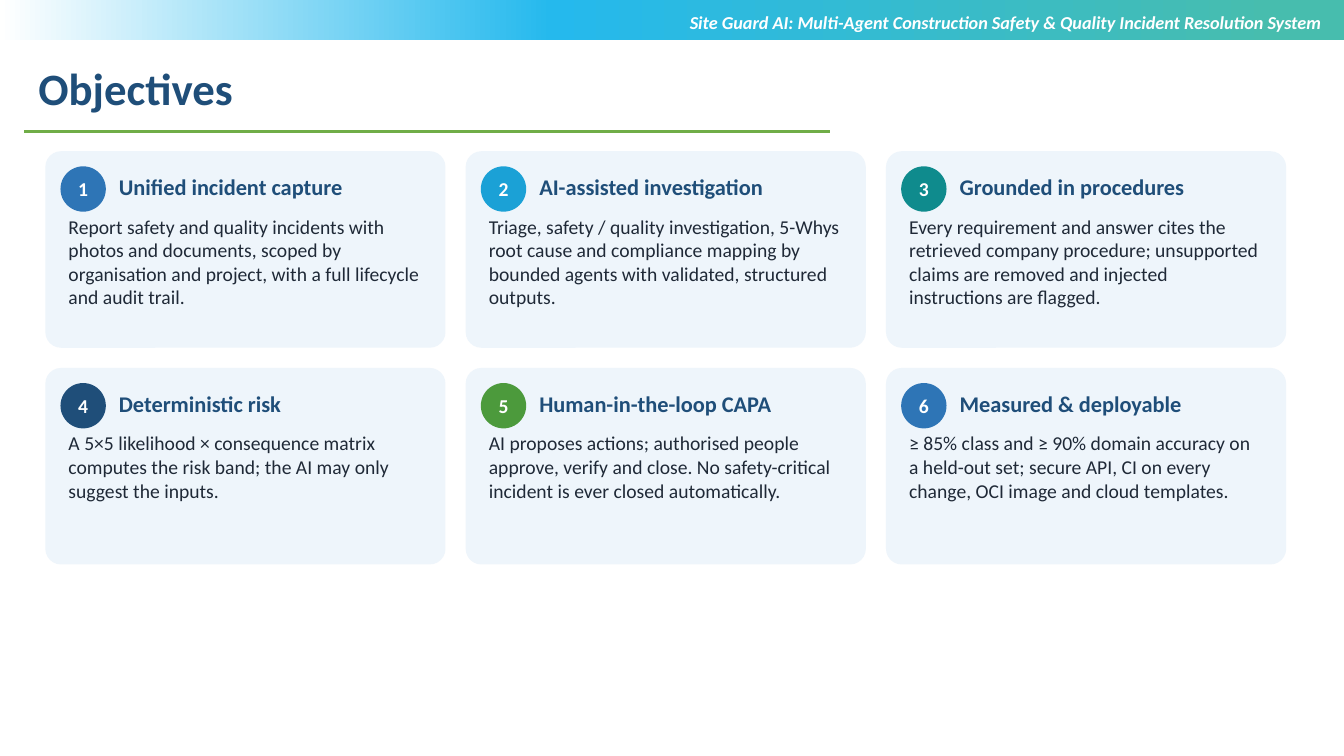
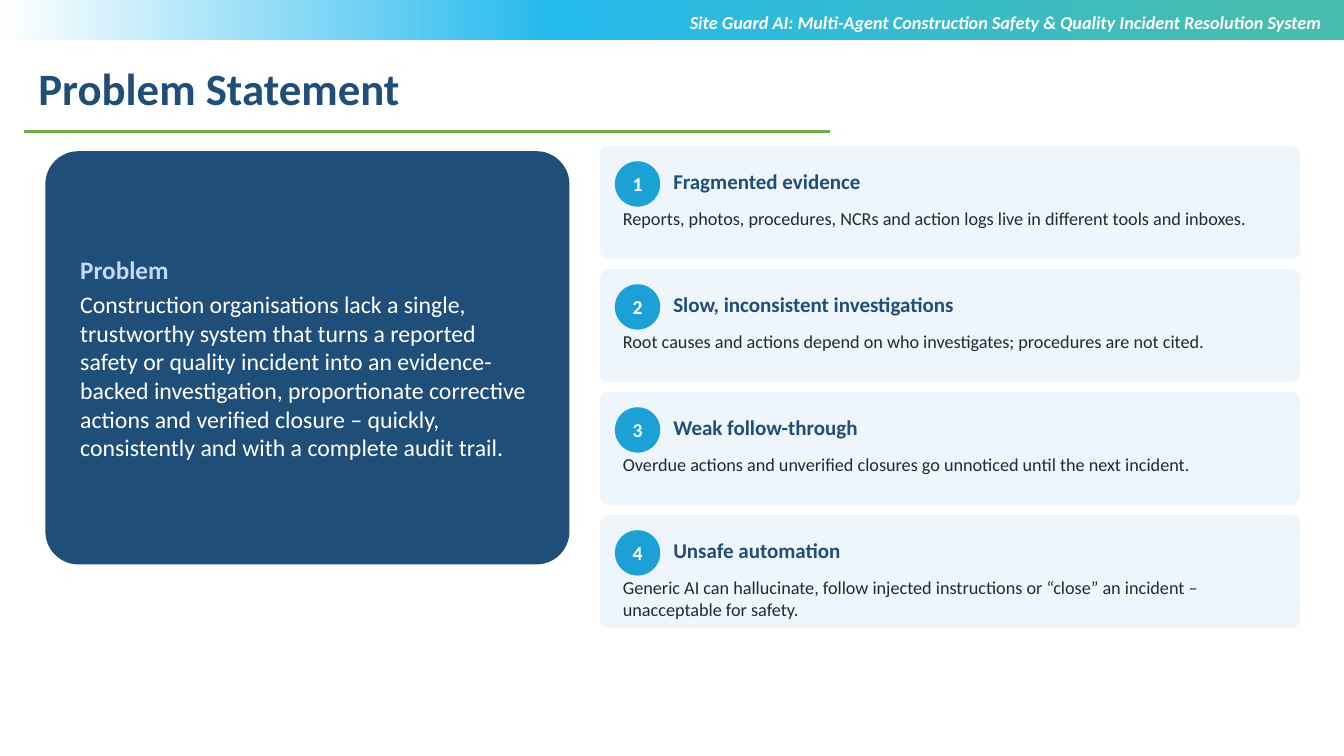
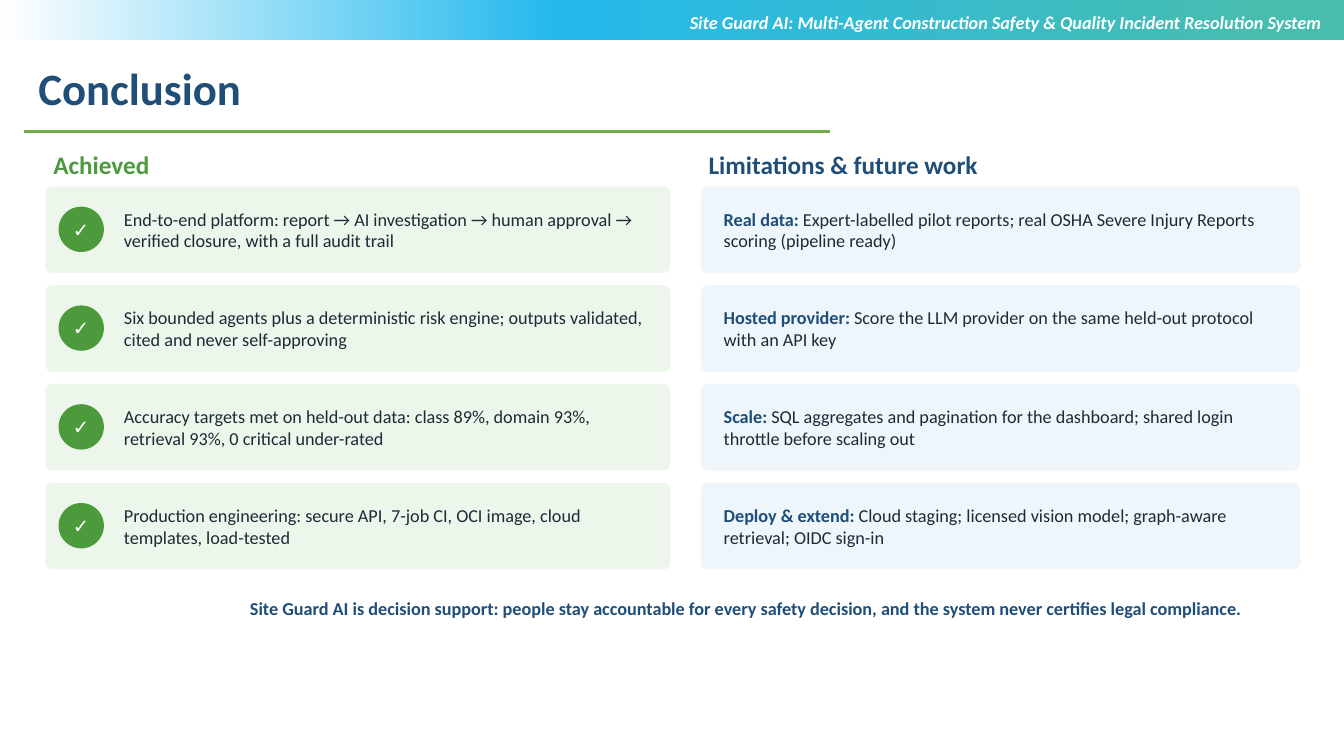
from copy import deepcopy

from pptx import Presentation
from pptx.dml.color import RGBColor as Rgb
from pptx.enum.shapes import MSO_CONNECTOR as Conn, MSO_SHAPE as Geo
from pptx.enum.text import MSO_ANCHOR as Anchor, PP_ALIGN as Align
from pptx.oxml.ns import qn
from pptx.util import Pt

HEX = {
    "white": "FFFFFF", "ink": "1F2937", "navy": "1F4E79", "blue": "2E75B6",
    "sky": "1BA1D6", "teal": "0F8B8D", "green": "4C9A3C", "rule": "70AD47",
    "pale": "EEF5FB", "mint": "EDF6EA", "ice": "BFDBFE",
    "aqua": "25B9ED", "sea": "47BDAE",
}
FONT = "Calibri"
WIDE, HIGH = 960, 540
LEFT, EDGE = 32.4, 928.8
DOT = 32.4
LOOSE = (7.2, 3.6)
BANNER = ("Site Guard AI: Multi-Agent Construction Safety & Quality "
          "Incident Resolution System")

GOALS = [
    ("Unified incident capture", "blue",
     "Report safety and quality incidents with photos and documents, scoped by "
     "organisation and project, with a full lifecycle and audit trail."),
    ("AI-assisted investigation", "sky",
     "Triage, safety / quality investigation, 5-Whys root cause and compliance "
     "mapping by bounded agents with validated, structured outputs."),
    ("Grounded in procedures", "teal",
     "Every requirement and answer cites the retrieved company procedure; "
     "unsupported claims are removed and injected instructions are flagged."),
    ("Deterministic risk", "navy",
     "A 5×5 likelihood × consequence matrix computes the risk band; the AI may "
     "only suggest the inputs."),
    ("Human-in-the-loop CAPA", "green",
     "AI proposes actions; authorised people approve, verify and close. No "
     "safety-critical incident is ever closed automatically."),
    ("Measured & deployable", "blue",
     "≥ 85% class and ≥ 90% domain accuracy on a held-out set; secure API, CI on "
     "every change, OCI image and cloud templates."),
]
PROBLEM = (
    "Construction organisations lack a single, trustworthy system that turns a "
    "reported safety or quality incident into an evidence-backed investigation, "
    "proportionate corrective actions and verified closure – quickly, "
    "consistently and with a complete audit trail.")
CAUSES = [
    ("Fragmented evidence",
     "Reports, photos, procedures, NCRs and action logs live in different tools "
     "and inboxes."),
    ("Slow, inconsistent investigations",
     "Root causes and actions depend on who investigates; procedures are not "
     "cited."),
    ("Weak follow-through",
     "Overdue actions and unverified closures go unnoticed until the next "
     "incident."),
    ("Unsafe automation",
     "Generic AI can hallucinate, follow injected instructions or “close” an "
     "incident – unacceptable for safety."),
]
DONE = [
    "End-to-end platform: report → AI investigation → human approval → verified "
    "closure, with a full audit trail",
    "Six bounded agents plus a deterministic risk engine; outputs validated, "
    "cited and never self-approving",
    "Accuracy targets met on held-out data: class 89%, domain 93%, retrieval "
    "93%, 0 critical under-rated",
    "Production engineering: secure API, 7-job CI, OCI image, cloud "
    "templates, load-tested",
]
NEXT = [
    ("Real data: ", "Expert-labelled pilot reports; real OSHA Severe Injury "
     "Reports scoring (pipeline ready)"),
    ("Hosted provider: ", "Score the LLM provider on the same held-out protocol "
     "with an API key"),
    ("Scale: ", "SQL aggregates and pagination for the dashboard; shared login "
     "throttle before scaling out"),
    ("Deploy & extend: ", "Cloud staging; licensed vision model; graph-aware "
     "retrieval; OIDC sign-in"),
]
CLOSING = ("Site Guard AI is decision support: people stay accountable for every "
           "safety decision, and the system never certifies legal compliance.")


def rgb(name):
    return Rgb.from_string(HEX[name])


def write(shape, *paras, size=13, color="ink", bold=False, ital=False,
          align=Align.LEFT, anchor=Anchor.TOP, pad=(5.76, 5.76), gap=4):
    """Fill a shape; a paragraph is a string or a list of (text, format) runs."""
    frame = shape.text_frame
    frame.word_wrap = True
    frame.vertical_anchor = anchor
    frame.margin_left = frame.margin_right = Pt(pad[0])
    frame.margin_top = frame.margin_bottom = Pt(pad[1])
    for num, para in enumerate(paras):
        line = frame.add_paragraph() if num else frame.paragraphs[0]
        line.alignment = align
        line.space_after = Pt(gap)
        for words, own in [(para, {})] if isinstance(para, str) else para:
            look = {"size": size, "color": color, "bold": bold, **own}
            run = line.add_run()
            run.text = words
            font = run.font
            font.name, font.size = FONT, Pt(look["size"])
            font.bold, font.italic = look["bold"], ital
            font.color.rgb = rgb(look["color"])


def label(slide, box, *paras, **look):
    write(slide.shapes.add_textbox(*map(Pt, box)), *paras, **look)


def block(slide, geo, box, fill=None):
    shape = slide.shapes.add_shape(geo, *map(Pt, box))
    shape.shadow.inherit = False
    shape.line.fill.background()
    if fill:
        shape.fill.solid()
        shape.fill.fore_color.rgb = rgb(fill)
    return shape


def panel(slide, box, fill):
    shape = block(slide, Geo.ROUNDED_RECTANGLE, box, fill)
    shape.adjustments[0] = 0.08
    return shape


def badge(slide, left, top, mark, fill):
    dot = block(slide, Geo.OVAL, (left, top, DOT, DOT), fill)
    write(dot, mark, size=14, color="white", bold=True, align=Align.CENTER,
          anchor=Anchor.MIDDLE, pad=(0, 0))


def card(slide, box, num, head, body, fill, sizes, drop):
    """A numbered panel with a heading and body text."""
    left, top, wide, high = box
    panel(slide, box, "pale")
    badge(slide, left + 10.8, top + 10.8, str(num), fill)
    label(slide, (left + 46.8, top + 7.2, wide - 54, 36), head, size=sizes[0],
          color="navy", bold=True, anchor=Anchor.MIDDLE)
    label(slide, (left + 10.8, top + drop, wide - 21.6, high - drop - 3), body,
          size=sizes[1])


def dress(slide, layout):
    """Put the band, rule and banner on the layout that all slides use."""
    for spare in list(layout.placeholders)[1:]:
        layout.shapes.element.remove(spare.element)

    band = block(slide, Geo.RECTANGLE, (0, 0, WIDE, 28.8))
    band.fill.gradient()
    band.fill.gradient_angle = 0
    stops = band.element.find(".//" + qn("a:gsLst"))
    stops.append(deepcopy(stops[0]))
    marks = [(0, "white"), (0.41, "aqua"), (0.95, "sea")]
    for stop, (place, color) in zip(band.fill.gradient_stops, marks):
        stop.position = place
        stop.color.rgb = rgb(color)

    rule = slide.shapes.add_connector(
        Conn.STRAIGHT, *map(Pt, (17.3, 93.8, 592.6, 93.8)))
    rule.line.color.rgb = rgb("rule")
    rule.line.width = Pt(2.25)
    props = rule.element.spPr
    props.append(props.makeelement(qn("a:effectLst"), {}))

    label(slide, (313.2, 4.3, 637.2, 51.1), BANNER, color="white", bold=True,
          ital=True, align=Align.RIGHT, pad=LOOSE, gap=0)
    for shape in list(slide.shapes)[1:]:
        layout.shapes.element.append(shape.element)


def start(deck, layout, name):
    slide = deck.slides.add_slide(layout)
    title = slide.shapes.title
    title.left, title.top, title.width, title.height = map(
        Pt, (20.2, 39.6, 836.6, 51.1))
    write(title, name, size=32, color="navy", bold=True, pad=LOOSE, gap=0)
    return slide


def goals(slide):
    wide, high, gap = 285.84, 140.4, 14.4
    for num, (head, fill, body) in enumerate(GOALS):
        row, col = divmod(num, 3)
        box = (LEFT + col * (wide + gap), 108 + row * (high + gap), wide, high)
        card(slide, box, num + 1, head, body, fill, (16, 14), 39.6)


def problem(slide):
    write(panel(slide, (LEFT, 108, 374.4, 295.2), "navy"),
          [("Problem", {"size": 18, "color": "ice", "bold": True})], PROBLEM,
          size=17, color="white", anchor=Anchor.MIDDLE, pad=(18, 18))
    left, high, gap = 428.4, 80.64, 7.2
    for num, (head, body) in enumerate(CAUSES):
        box = (left, 104.4 + num * (high + gap), EDGE - left, high)
        card(slide, box, num + 1, head, body, "sky", (15, 13), 37.8)


def closing(slide):
    wide, right, high, step = 446.4, 500.4, 61.92, 70.56
    heads = [(LEFT, wide, "Achieved", "green"),
             (right, EDGE - right, "Limitations & future work", "navy")]
    for left, span, head, color in heads:
        label(slide, (left, 100.8, span, 28.8), head, size=18, color=color,
              bold=True)
    for num, (done, (lead, plan)) in enumerate(zip(DONE, NEXT)):
        top = 133.2 + num * step
        panel(slide, (LEFT, top, wide, high), "mint")
        badge(slide, LEFT + 9.4, top + 14.4, "✓", "green")
        label(slide, (LEFT + 50.4, top, 388.8, high), done,
              anchor=Anchor.MIDDLE)
        panel(slide, (right, top, EDGE - right, high), "pale")
        label(slide, (right + 10.8, top, 410.4, high),
              [(lead, {"color": "navy", "bold": True}), (plan, {})],
              anchor=Anchor.MIDDLE)
    label(slide, (172.8, 421.2, 756, 25.2), CLOSING, color="navy", bold=True)


def main():
    deck = Presentation()
    deck.slide_width, deck.slide_height = Pt(WIDE), Pt(HIGH)
    layout = deck.slide_layouts[5]
    pages = [("Objectives", goals), ("Problem Statement", problem),
             ("Conclusion", closing)]
    for num, (name, fill) in enumerate(pages):
        slide = start(deck, layout, name)
        if num == 0:
            dress(slide, layout)
        fill(slide)
    deck.save("out.pptx")


if __name__ == "__main__":
    main()
